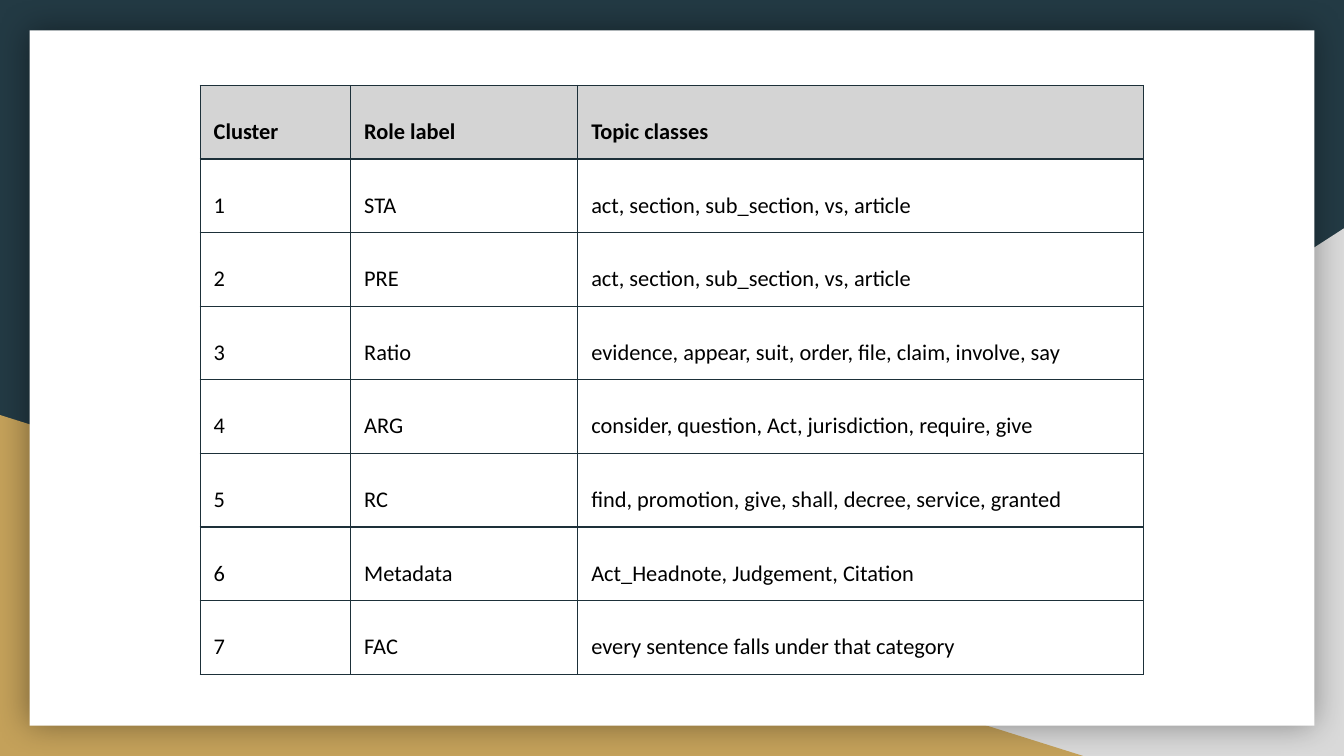
import lxml.etree
import pptx
import pptx.dml.color
import pptx.enum.shapes
import pptx.enum.text
import pptx.oxml
import pptx.oxml.ns
import pptx.util

RGBColor = pptx.dml.color.RGBColor
SHAPES = pptx.enum.shapes.MSO_SHAPE
ANCHORS = pptx.enum.text.MSO_ANCHOR

NAVY = RGBColor(0x23, 0x3A, 0x44)
GREY = RGBColor(0xD9, 0xD9, 0xD9)
GOLD = RGBColor(0xC4, 0xA1, 0x5A)
WHITE = RGBColor(0xFF, 0xFF, 0xFF)
BLACK = RGBColor(0, 0, 0)
HEADER_GREY = RGBColor(0xD4, 0xD4, 0xD4)
BORDER = RGBColor(0x1D, 0x30, 0x39)

SLIDE_WIDTH = pptx.util.Inches(10)
SLIDE_HEIGHT = pptx.util.Inches(5.625)

COLUMN_SHARES = (11.2, 16.9, 42.1)
ROW_SHARE = 6.1
CLUSTERS = (
    ("Cluster", "Role label", "Topic classes"),
    ("1", "STA", "act, section, sub_section, vs, article"),
    ("2", "PRE", "act, section, sub_section, vs, article"),
    ("3", "Ratio", "evidence, appear, suit, order, file, claim, involve, say"),
    ("4", "ARG", "consider, question, Act, jurisdiction, require, give"),
    ("5", "RC", "find, promotion, give, shall, decree, service, granted"),
    ("6", "Metadata", "Act_Headnote, Judgement, Citation"),
    ("7", "FAC", "every sentence falls under that category"),
)
CELL_MARGINS = {
    f"margin_{side}": pptx.util.Inches(0.1)
    for side in ("left", "right", "top", "bottom")
}
CELL_FONT = {"name": "Calibri", "size": pptx.util.Pt(12)}


def across(percent):
    return round(SLIDE_WIDTH * percent / 100)


def down(percent):
    return round(SLIDE_HEIGHT * percent / 100)


def apply_format(target, values):
    for attribute, value in values.items():
        setattr(target, attribute, value)


def add_panel(slide, kind, left, top, width, height, color):
    panel = slide.shapes.add_shape(
        kind, across(left), down(top), across(width), down(height)
    )
    panel.shadow.inherit = False
    panel.fill.solid()
    panel.fill.fore_color.rgb = color
    panel.line.fill.background()
    return panel


def add_soft_shadow(panel):
    effects = panel.element.spPr.find(pptx.oxml.ns.qn("a:effectLst"))
    effects.append(pptx.oxml.parse_xml(
        f'<a:outerShdw {pptx.oxml.ns.nsdecls("a")} blurRad="{pptx.util.Pt(18)}" '
        f'dist="0" dir="0" algn="ctr" rotWithShape="0"><a:srgbClr val="{BLACK}">'
        '<a:alpha val="40000"/></a:srgbClr></a:outerShdw>'
    ))


def add_backdrop(slide):
    slide.background.fill.solid()
    slide.background.fill.fore_color.rgb = NAVY
    grey_corner = add_panel(
        slide, SHAPES.RIGHT_TRIANGLE, 39.2, 30.2, 60.8, 69.8, GREY
    )
    grey_corner.element.spPr.xfrm.set("flipH", "1")
    add_panel(slide, SHAPES.RIGHT_TRIANGLE, 0, 54.9, 80.6, 45.1, GOLD)
    add_soft_shadow(add_panel(slide, SHAPES.RECTANGLE, 2.2, 4, 95.6, 92, WHITE))


def add_borders(cell):
    properties = cell._tc.get_or_add_tcPr()
    for side in ("lnL", "lnR", "lnT", "lnB"):
        properties.append(pptx.oxml.parse_xml(
            f'<a:{side} {pptx.oxml.ns.nsdecls("a")} w="{pptx.util.Pt(0.75)}">'
            f'<a:solidFill><a:srgbClr val="{BORDER}"/></a:solidFill></a:{side}>'
        ))


def fill_cell(cell, wording, is_header):
    add_borders(cell)
    apply_format(cell, CELL_MARGINS)
    cell.vertical_anchor = ANCHORS.BOTTOM if is_header else ANCHORS.MIDDLE
    if is_header:
        cell.fill.solid()
        cell.fill.fore_color.rgb = HEADER_GREY
    else:
        cell.fill.background()
    paragraph = cell.text_frame.paragraphs[0]
    paragraph.line_spacing = 1.71
    run = paragraph.add_run()
    run.text = wording
    apply_format(run.font, {**CELL_FONT, "bold": is_header})
    run.font.color.rgb = BLACK


def add_cluster_table(slide):
    table = slide.shapes.add_table(
        len(CLUSTERS), len(COLUMN_SHARES), across(14.9), down(11.3),
        across(sum(COLUMN_SHARES)), down(ROW_SHARE * len(CLUSTERS)),
    ).table
    table.horz_banding = False
    for column, share in zip(table.columns, COLUMN_SHARES):
        column.width = across(share)
    for row_number, (row, entries) in enumerate(zip(table.rows, CLUSTERS)):
        row.height = down(ROW_SHARE)
        for cell, wording in zip(row.cells, entries):
            fill_cell(cell, wording, row_number == 0)


def main():
    deck = pptx.Presentation()
    apply_format(
        deck, {"slide_width": SLIDE_WIDTH, "slide_height": SLIDE_HEIGHT}
    )
    slide = deck.slides.add_slide(deck.slide_layouts[6])
    add_backdrop(slide)
    add_cluster_table(slide)
    deck.save("out.pptx")


if __name__ == "__main__":
    main()
